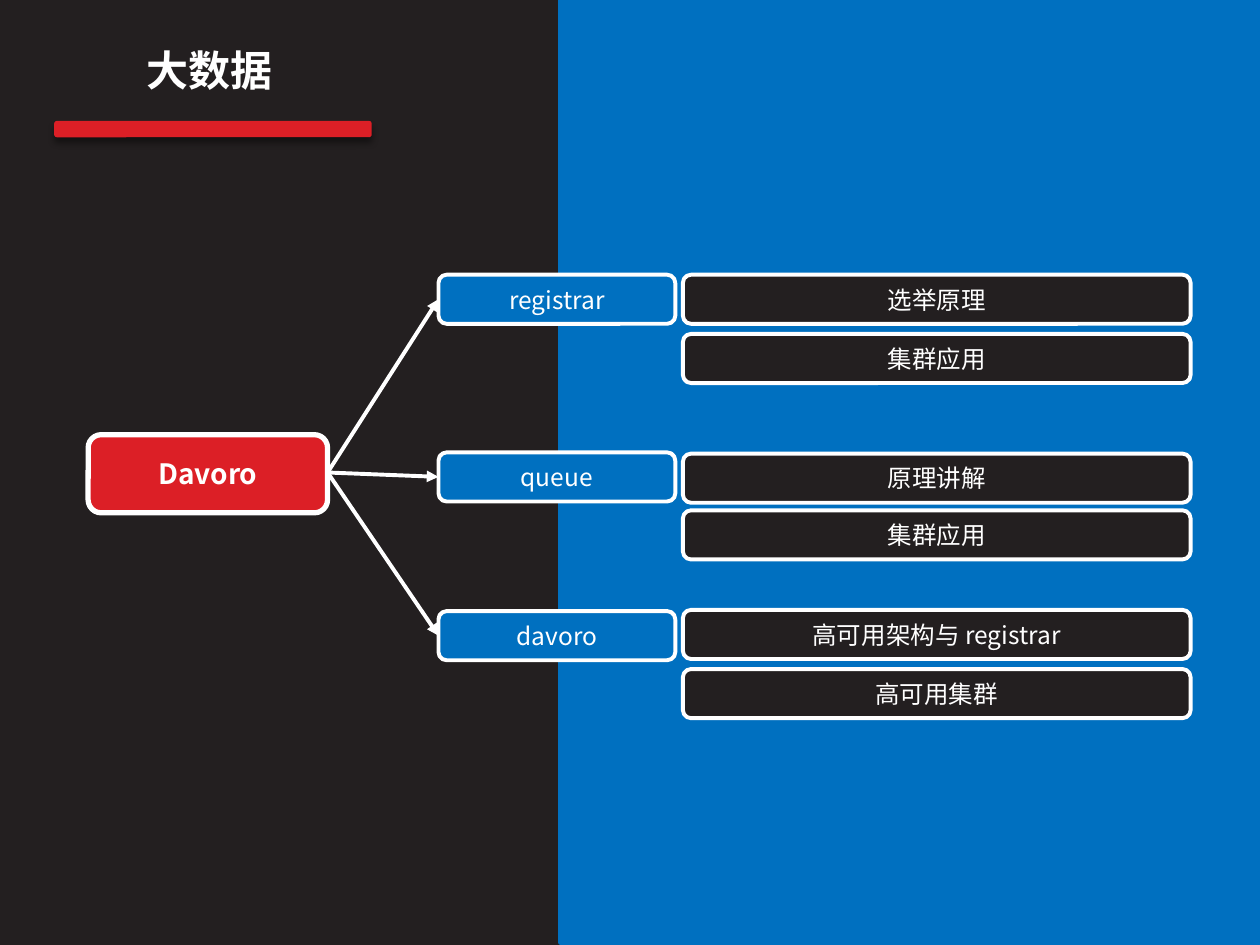
from lxml.etree import SubElement
from pptx import Presentation
from pptx.dml.color import RGBColor
from pptx.enum.shapes import MSO_CONNECTOR as Connector, MSO_SHAPE as Shape
from pptx.enum.text import MSO_ANCHOR as Anchor, MSO_AUTO_SIZE as AutoSize, PP_ALIGN as Align
from pptx.oxml import parse_xml
from pptx.oxml.ns import nsdecls, qn
from pptx.util import Inches, Pt

FONT = "Noto Sans CJK SC"
DARK = RGBColor(0x23, 0x1F, 0x20)
BLUE = RGBColor(0x00, 0x70, 0xC0)
RED = RGBColor(0xDC, 0x1F, 0x26)
WHITE = RGBColor(0xFF, 0xFF, 0xFF)

ROOT_RIGHT, ROOT_MIDDLE = 2.6, 3.75
TOPIC_LEFT, TOPIC_WIDTH = 3.48, 1.88
DETAIL_LEFT, DETAIL_WIDTH = 5.42, 4.03
ROW_HEIGHT = 0.39

# Topic, its top, and its details with their tops
BRANCHES = [
    ("registrar", 2.18, [("选举原理", 2.18), ("集群应用", 2.65)]),
    ("queue", 3.59, [("原理讲解", 3.6), ("集群应用", 4.05)]),
    ("davoro", 4.85, [("高可用架构与 registrar", 4.84), ("高可用集群", 5.31)]),
]


def write_text(shape, text, size, bold=False):
    paragraph = shape.text_frame.paragraphs[0]
    paragraph.text = text
    paragraph.alignment = Align.CENTER
    font = paragraph.font
    font.name, font.size, font.bold = FONT, Pt(size), bold
    font.color.rgb = WHITE
    # East Asian text needs its own typeface entry
    properties = paragraph._p.pPr.find(qn("a:defRPr"))
    SubElement(properties, qn("a:ea")).set("typeface", FONT)


def add_block(slide, kind, box, fill, line=None, line_width=0):
    shape = slide.shapes.add_shape(kind, *map(Inches, box))
    shape.shadow.inherit = False
    shape.fill.solid()
    shape.fill.fore_color.rgb = fill
    if line is None:
        shape.line.fill.background()
    else:
        shape.line.color.rgb = line
        shape.line.width = Pt(line_width)
    return shape


def add_node(slide, text, box, fill, size=14, bold=False, line_width=2.25):
    shape = add_block(slide, Shape.ROUNDED_RECTANGLE, box, fill, WHITE, line_width)
    shape.text_frame.word_wrap = True
    shape.text_frame.vertical_anchor = Anchor.MIDDLE
    write_text(shape, text, size, bold)


def add_arrow(slide, start, end):
    arrow = slide.shapes.add_connector(Connector.STRAIGHT, *map(Inches, start + end))
    arrow.line.color.rgb = WHITE
    arrow.line.width = Pt(2.25)
    SubElement(arrow.line._get_or_add_ln(), qn("a:tailEnd")).set("type", "triangle")
    SubElement(arrow._element.spPr, qn("a:effectLst"))


def add_title(slide):
    title = slide.shapes.title
    title.left, title.top, title.width, title.height = map(Inches, (0.28, 0.3, 2.77, 0.71))
    title.text_frame.auto_size = AutoSize.NONE
    title.text_frame.vertical_anchor = Anchor.TOP
    write_text(title, "大数据", 24, bold=True)


def add_title_bar(slide):
    bar = add_block(slide, Shape.ROUNDED_RECTANGLE, (0.43, 0.96, 2.52, 0.13), RED)
    bar._element.spPr.find(qn("a:effectLst")).append(parse_xml(
        f'<a:outerShdw {nsdecls("a")} blurRad="{Pt(4)}" dist="{Pt(3)}" dir="5400000" rotWithShape="0">'
        '<a:srgbClr val="000000"><a:alpha val="43000"/></a:srgbClr></a:outerShdw>'))


def add_branch(slide, topic, top, details):
    add_node(slide, topic, (TOPIC_LEFT, top, TOPIC_WIDTH, ROW_HEIGHT), BLUE)
    for text, detail_top in details:
        add_node(slide, text, (DETAIL_LEFT, detail_top, DETAIL_WIDTH, ROW_HEIGHT), DARK)
    add_arrow(slide, (ROOT_RIGHT, ROOT_MIDDLE), (TOPIC_LEFT, top + ROW_HEIGHT / 2))


def main():
    presentation = Presentation()
    presentation.slide_width, presentation.slide_height = Inches(10), Inches(7.5)
    slide = presentation.slides.add_slide(presentation.slide_layouts[5])

    # Background and right-hand panel
    slide.background.fill.solid()
    slide.background.fill.fore_color.rgb = DARK
    add_block(slide, Shape.RECTANGLE, (4.45, 0, 5.55, 7.48), BLUE, BLUE, 3)

    # Heading
    add_title(slide)
    add_title_bar(slide)

    # Topic tree
    add_node(slide, "Davoro", (0.7, 3.45, 1.9, 0.62), RED, size=16, bold=True, line_width=3)
    for branch in BRANCHES:
        add_branch(slide, *branch)

    presentation.save("out.pptx")


if __name__ == "__main__":
    main()
